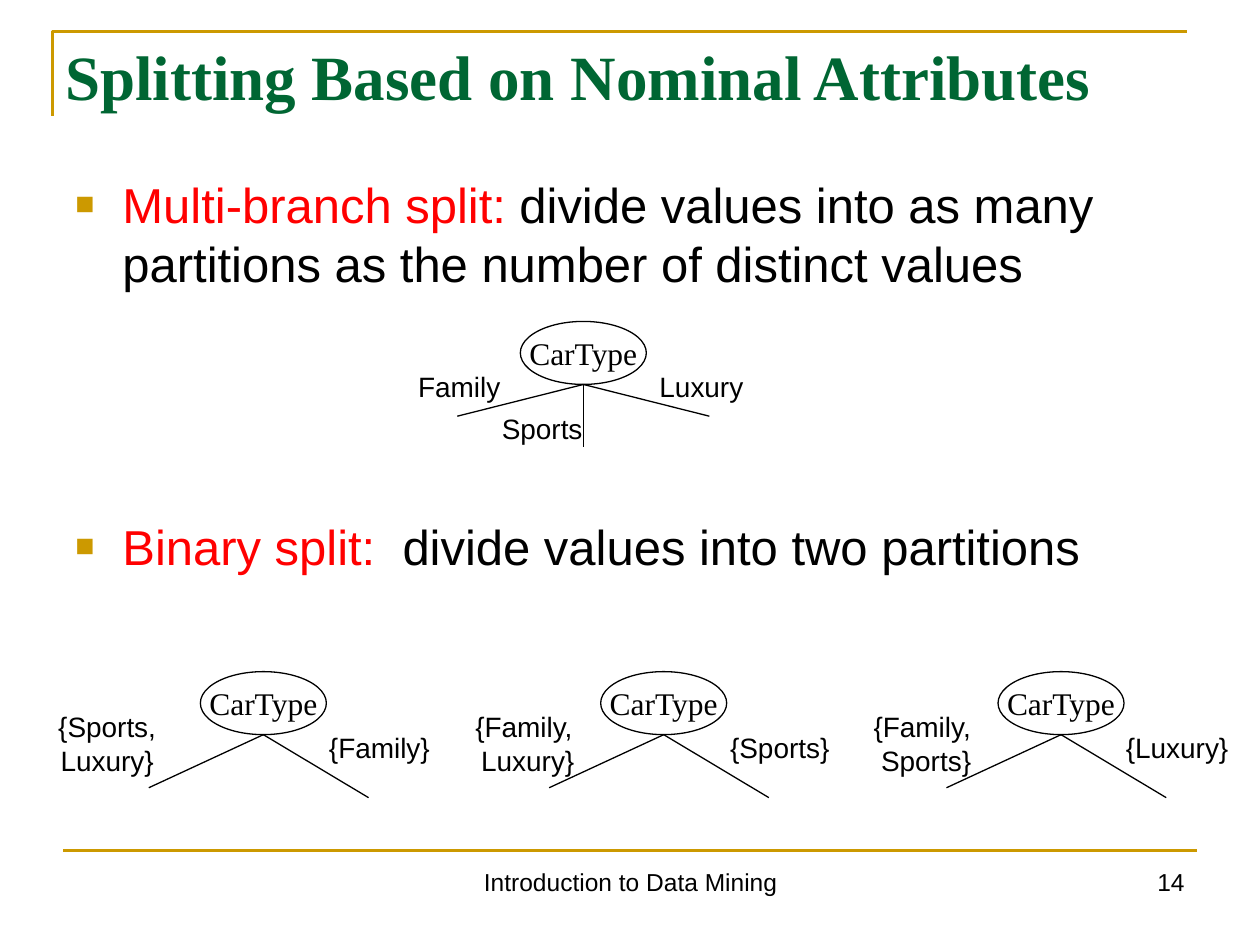
from lxml.etree import SubElement
from pptx import Presentation
from pptx.dml.color import RGBColor
from pptx.enum.shapes import MSO_CONNECTOR, MSO_SHAPE
from pptx.enum.text import MSO_ANCHOR, PP_ALIGN
from pptx.oxml.ns import qn
from pptx.util import Cm, Pt

BLACK, WHITE, RED, GREEN, GOLD = "000000", "FFFFFF", "FF0000", "006633", "CC9900"
SANS, SERIF = "Arial", "Times New Roman"

TITLE = "Splitting Based on Nominal Attributes"
# term, explanation, space before in points
BULLETS = [
    ("Multi-branch split:",
     " divide values into as many partitions as the number of distinct values", 0),
    ("Binary split:", "  divide values into two partitions", 128),
]
# text, left, width, alignment
FOOTERS = [
    ("Introduction to Data Mining", 8.69, 8.05, PP_ALIGN.CENTER),
    ("14", 18.21, 5.92, PP_ALIGN.RIGHT),
]

# Branch ends and labels are measured from the point where the branches meet.
MULTI_BRANCHES = [(-2.54, 0.64), (0, 1.27), (2.54, 0.64)]
BINARY_BRANCHES = [(-2.31, 1.07), (2.12, 1.27)]
MULTI_LABELS = [
    ("Family", -3.61, -0.43, 2.22, 0.94),
    ("Sports", -1.94, 0.41, 2.22, 0.94),
    ("Luxury", 1.25, -0.43, 2.26, 0.94),
]
# meeting point x, left label, its offset, right label
BINARY_SPLITS = [
    (13.38, "{Family, \nLuxury}", -4.06, "{Sports}"),
    (5.31, "{Sports, Luxury}", -4.47, "{Family}"),
    (21.39, "{Family, \nSports}", -4.04, "{Luxury}"),
]
MULTI_X, MULTI_Y, BINARY_Y = 11.76, 7.75, 14.81
NODE_W, NODE_H = 2.54, 1.27


def rgb(value):
    return RGBColor.from_string(value)


def style(r, size, color=BLACK, font=SANS, bold=False):
    r.font.size = Pt(size)
    r.font.name = font
    r.font.bold = bold
    r.font.color.rgb = rgb(color)


def add_line(shapes, x1, y1, x2, y2, color=BLACK, width=0.75):
    s = shapes.add_connector(MSO_CONNECTOR.STRAIGHT, Cm(x1), Cm(y1), Cm(x2), Cm(y2))
    s.line.color.rgb = rgb(color)
    s.line.width = Pt(width)
    SubElement(s._element.spPr, qn("a:effectLst"))


def fill_text(s, text, size, font=SANS, align=PP_ALIGN.CENTER,
              anchor=MSO_ANCHOR.MIDDLE, wrap=False):
    tf = s.text_frame
    tf.word_wrap = wrap
    tf.vertical_anchor = anchor
    p = tf.paragraphs[0]
    p.text = text
    p.alignment = align
    for r in p.runs:
        style(r, size, font=font)


def add_tree(shapes, x, y, branches, labels):
    """Draw a node whose bottom is at (x, y), with its branches and labels."""
    group = shapes.add_group_shape().shapes
    node = group.add_shape(MSO_SHAPE.OVAL, Cm(x - NODE_W / 2), Cm(y - NODE_H),
                           Cm(NODE_W), Cm(NODE_H))
    node.shadow.inherit = False
    node.fill.solid()
    node.fill.fore_color.rgb = rgb(WHITE)
    node.line.color.rgb = rgb(BLACK)
    node.line.width = Pt(0.75)
    fill_text(node, "CarType", 18, SERIF)
    for dx, dy in branches:
        add_line(group, x, y, x + dx, y + dy)
    for text, dx, dy, w, h in labels:
        box = group.add_textbox(Cm(x + dx), Cm(y + dy), Cm(w), Cm(h))
        fill_text(box, text, 16, wrap=" " in text and "\n" not in text)


def add_bullet(p, term, explanation, before):
    p.space_before = Pt(before)
    for text, color in ((term, RED), (explanation, BLACK)):
        r = p.add_run()
        r.text = text
        style(r, 28, color)
    pPr = p._p.get_or_add_pPr()
    pPr.set("marL", str(Cm(0.95)))
    pPr.set("indent", str(-Cm(0.95)))
    SubElement(SubElement(pPr, qn("a:buClr")), qn("a:srgbClr"), val=GOLD)
    SubElement(pPr, qn("a:buSzPct"), val="65000")
    SubElement(pPr, qn("a:buFont"), typeface=SANS)
    SubElement(pPr, qn("a:buChar"), char="■")


prs = Presentation()
prs.slide_width, prs.slide_height = Cm(25.4), Cm(19.05)
slide = prs.slides.add_slide(prs.slide_layouts[5])
shapes = slide.shapes

builder = shapes.build_freeform(Cm(1.06), Cm(2.33), scale=1.0)
builder.add_line_segments([(Cm(1.06), Cm(0.63)), (Cm(23.93), Cm(0.63))], close=False)
corner = builder.convert_to_shape()
corner.shadow.inherit = False
corner.fill.background()
corner.line.color.rgb = rgb(GOLD)
corner.line.width = Pt(1.5)
add_line(shapes, 1.27, 17.15, 24.13, 17.15, GOLD, 1.5)

for text, left, width, align in FOOTERS:
    box = shapes.add_textbox(Cm(left), Cm(17.35), Cm(width), Cm(1.32))
    fill_text(box, text, 14, align=align, anchor=MSO_ANCHOR.TOP, wrap=True)

title = shapes.title
title.left, title.top, title.width, title.height = Cm(1.06), Cm(0.63), Cm(23.93), Cm(1.47)
tf = title.text_frame
tf.text = TITLE
tf.vertical_anchor = MSO_ANCHOR.TOP
tf.margin_top = Cm(0.12)
tf.margin_bottom = 0
tf.paragraphs[0].alignment = PP_ALIGN.LEFT
style(tf.paragraphs[0].runs[0], 36, GREEN, SERIF, bold=True)

body = shapes.add_textbox(Cm(1.27), Cm(3.39), Cm(23.29), Cm(10.36))
tf = body.text_frame
tf.word_wrap = True
for i, bullet in enumerate(BULLETS):
    add_bullet(tf.add_paragraph() if i else tf.paragraphs[0], *bullet)

add_tree(shapes, MULTI_X, MULTI_Y, MULTI_BRANCHES, MULTI_LABELS)
for x, left_text, left_dx, right_text in BINARY_SPLITS:
    add_tree(shapes, x, BINARY_Y, BINARY_BRANCHES, [
        (left_text, left_dx, -0.64, 2.64, 1.63),
        (right_text, 1.01, -0.22, 2.66, 0.94),
    ])

prs.save("out.pptx")
